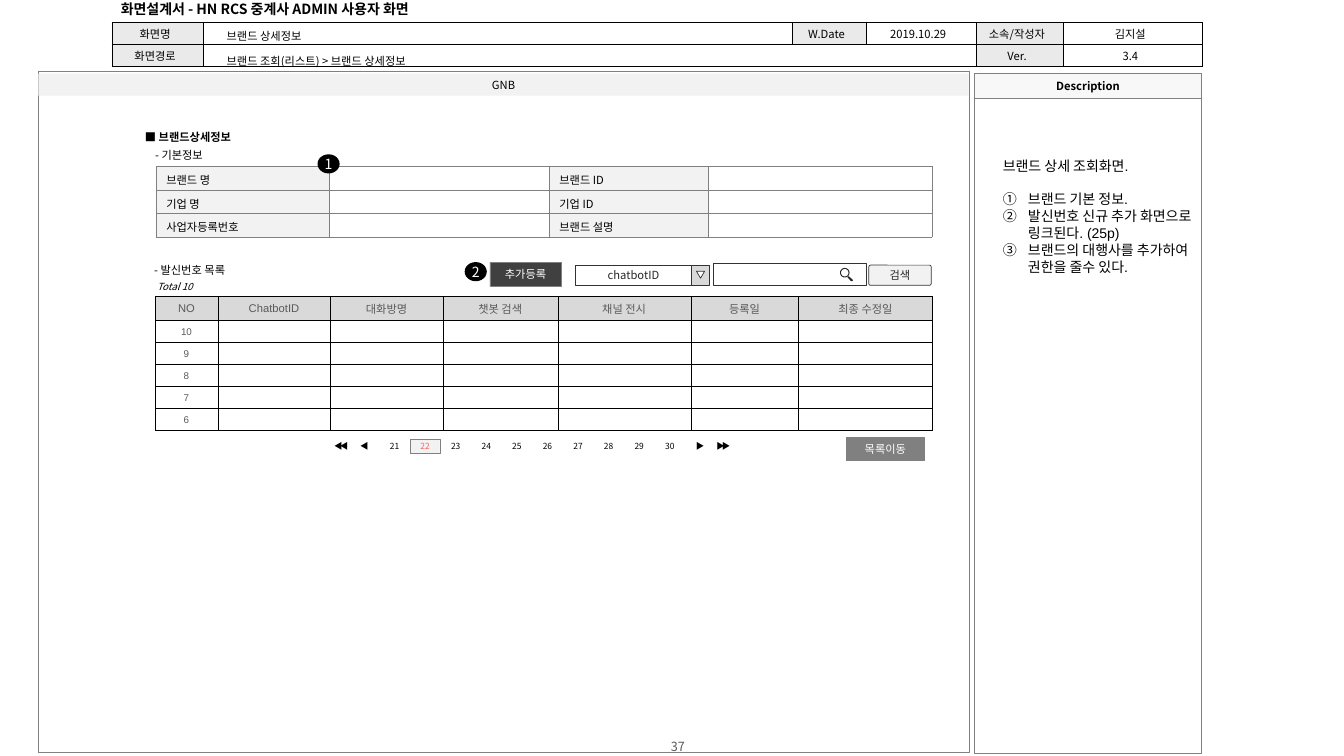
"""Build the brand detail page of an admin screen specification."""
import math

from lxml import etree
from pptx import Presentation
from pptx.dml.color import RGBColor
from pptx.enum.shapes import MSO_SHAPE
from pptx.enum.text import MSO_ANCHOR, PP_ALIGN
from pptx.oxml.ns import qn
from pptx.util import Pt

RECT, ROUNDED = MSO_SHAPE.RECTANGLE, MSO_SHAPE.ROUNDED_RECTANGLE
OVAL, TRIANGLE = MSO_SHAPE.OVAL, MSO_SHAPE.ISOSCELES_TRIANGLE
LEFT, CENTER = PP_ALIGN.LEFT, PP_ALIGN.CENTER
TOP, MIDDLE = MSO_ANCHOR.TOP, MSO_ANCHOR.MIDDLE
SANS, ARIAL = "Noto Sans CJK KR", "Arial"
COLORS = {
    "black": "000000", "white": "FFFFFF", "gray": "808080", "text": "595959",
    "ink": "262626", "edge": "333333", "dark": "404040", "label": "EAEAEA",
    "pale": "F2F2F2", "bar": "F8F8F8", "head": "D9D9D9", "current": "FF6060",
}


def write(para, text, size, color="black", font=SANS, align=LEFT, bold=False):
    """Add one styled run to a paragraph."""
    para.alignment = align
    span = para.add_run()
    span.text = text
    span.font.size = Pt(size)
    span.font.name = font
    span.font.bold = bold
    span.font.color.rgb = RGBColor.from_string(COLORS[color])
    etree.SubElement(span.font._element, qn("a:ea"), typeface=SANS)
    return span


def block(kind, place, fill=None, line=None, weight=0.25, text="", size=8, color="black", bold=False):
    """Draw a preset shape with optional centred text."""
    shape = page.shapes.add_shape(kind, *[Pt(v) for v in place])
    shape.shadow.inherit = False
    if fill:
        shape.fill.solid()
        shape.fill.fore_color.rgb = RGBColor.from_string(COLORS[fill])
    else:
        shape.fill.background()
    if line:
        shape.line.color.rgb = RGBColor.from_string(COLORS[line])
        shape.line.width = Pt(weight)
    else:
        shape.line.fill.background()
    if text:
        frame = shape.text_frame
        frame.margin_left = frame.margin_right = frame.margin_top = frame.margin_bottom = 0
        frame.vertical_anchor = MIDDLE
        frame.word_wrap = False
        span = write(frame.paragraphs[0], text, size, color, align=CENTER, bold=bold)
        if len(text) == 2 and text[0] in "◀▶":
            span.font._element.set("spc", "-190")
    return shape


deck = Presentation()
deck.slide_width, deck.slide_height = Pt(960), Pt(540)
page = deck.slides.add_slide(deck.slide_layouts[6])

block(RECT, (372.2, 528.5, 224, 9.4), text="37", size=9, color="text")
block(RECT, (27.4, 51.1, 664.6, 486), line="gray")
block(RECT, (696.2, 69.1, 162, 468.7), line="gray")
block(RECT, (696.2, 52.6, 162, 17.3), "bar", "gray", text="Description", bold=True)
block(RECT, (27.4, 52.6, 664.6, 15.8), "pale", text="GNB")

tables = [
    {"at": (79.9, 15.8), "widths": (65.5, 420.5, 52.6, 78.5, 62.6, 99.4), "heights": [15.8] * 2,
     "border": "black", "shade": "label", "align": CENTER, "font": SANS, "color": "black",
     "margins": (2.9, 1.8, 6.5, 1.8),
     "rows": [["화면명", "", "W.Date", "2019.10.29", "소속/작성자", "김지설"],
              ["화면경로", "", "", "", "Ver.", "3.4"]]},
    {"at": (111.6, 118.8), "widths": (123.8, 157, 113.8, 159.8), "heights": [16.8] * 3,
     "border": "gray", "shade": "pale", "align": LEFT, "font": SANS, "color": "black",
     "margins": (7.2, 3.6, 7.2, 1),
     "rows": [["브랜드 명", "", "브랜드 ID", ""],
              ["기업 명", "", "기업 ID", ""],
              ["사업자등록번호", "", "브랜드 설명", ""]]},
    {"at": (110.9, 211.7), "widths": (44.6, 80.6, 80.2, 82.1, 95, 77, 95.8),
     "heights": [17.1] + [15.7] * 5,
     "border": "black", "shade": "head", "align": CENTER, "font": ARIAL, "color": "text",
     "margins": (7.2, 2.5, 7.2, 1.5),
     "rows": [["NO", "ChatbotID", "대화방명", "챗봇 검색", "채널 전시", "등록일", "최종 수정일"]]
     + [[str(number)] + [""] * 6 for number in range(10, 5, -1)]},
]
for spot in tables:
    rows, widths, heights = spot["rows"], spot["widths"], spot["heights"]
    is_list = spot["font"] == ARIAL
    grid = page.shapes.add_table(len(rows), len(widths), *[Pt(v) for v in spot["at"]],
                                 Pt(sum(widths)), Pt(sum(heights))).table
    grid.first_row = grid.horz_banding = False
    for column, width in zip(grid.columns, widths):
        column.width = Pt(width)
    for r, row in enumerate(rows):
        grid.rows[r].height = Pt(heights[r])
        for c, text in enumerate(row):
            cell = grid.cell(r, c)
            cell.margin_left, cell.margin_top, cell.margin_right, cell.margin_bottom = [
                Pt(v) for v in spot["margins"]]
            cell.vertical_anchor = MIDDLE
            shaded = r == 0 if is_list else c % 2 == 0
            cell.fill.solid()
            cell.fill.fore_color.rgb = RGBColor.from_string(COLORS[spot["shade"] if shaded else "white"])
            para = cell.text_frame.paragraphs[0]
            size = 7 if is_list and r else 8
            if text:
                write(para, text, size, spot["color"], spot["font"], spot["align"])
            else:
                etree.SubElement(para._p, qn("a:endParaRPr"), sz="700")
            for index, side in enumerate("LRTB"):
                edge = etree.Element(qn("a:ln" + side), w="3175")
                fill = etree.SubElement(edge, qn("a:solidFill"))
                etree.SubElement(fill, qn("a:srgbClr"), val=COLORS[spot["border"]])
                cell._tc.tcPr.insert(index, edge)
    if spot is tables[0]:
        grid.cell(1, 1).merge(grid.cell(1, 3))

captions = [
    ((79.2, -2.9, 250, 18.7), "화면설계서 - HN RCS 중계사 ADMIN 사용자 화면", 10, True),
    ((96.5, 89.3, 93.6, 17.3), "■ 브랜드상세정보", 8, True),
    ((103.7, 102.2, 102.2, 17.3), "- 기본정보", 8, False),
    ((154.8, 17.3, 226, 17.3), "브랜드 상세정보", 8, False),
    ((154.8, 35.3, 226, 17.3), "브랜드 조회(리스트) > 브랜드 상세정보", 8, False),
    ((103, 184.3, 102.2, 17.3), "- 발신번호 목록", 8, False),
    ((105.1, 196.6, 102.2, 15.8), "Total 10", 7, False),
]
for place, text, size, bold in captions:
    box = page.shapes.add_textbox(*[Pt(v) for v in place])
    box.text_frame.word_wrap = True
    box.text_frame.vertical_anchor = MIDDLE if size == 10 else TOP
    span = write(box.text_frame.paragraphs[0], text, size, bold=bold)
    span.font.italic = size == 7

for index, number in enumerate(range(21, 31)):
    current = number == 22
    block(RECT, (271.4 + 21.84 * index, 313.9, 20.9, 10.1), "pale" if current else "white",
          "gray" if current else None, text=str(number), size=6, color="current" if current else "black")
for left, arrow in ((233.3, "◀◀"), (249.8, "◀"), (489.6, "▶"), (506.2, "▶▶")):
    block(RECT, (left, 313.9, 20.9, 10.1), text=arrow, size=6)

block(RECT, (604.8, 312.5, 55.4, 16.6), "gray", "gray", text="목록이동", color="white")
search = block(ROUNDED, (620.6, 189.4, 44.6, 14.4), "pale", "edge", 0.5, "검색", color="ink")
search.adjustments[0] = 0.09
block(RECT, (509.8, 187.9, 108.7, 15.8), "white", "edge", 0.5)
block(RECT, (411.1, 189.4, 82.8, 14.4), "white", "edge", 0.5, "chatbotID", color="ink")
block(RECT, (493.9, 189.4, 13, 14.4), "head", "edge", 0.5)
block(TRIANGLE, (497.5, 193.7, 5.8, 5), "white", "edge", 0.5).rotation = 180
block(RECT, (349.9, 187.2, 51.1, 17.3), "dark", "gray", text="추가등록", color="white")

rings = [[(603.4 + radius * math.cos(turn * math.pi / 12), 194.8 + radius * math.sin(turn * math.pi / 12))
          for turn in range(0, 24 * way, way)] for radius, way in ((3.4, 1), (2.7, -1))]
handle = [(606.3, 197.3), (605.4, 198.1), (607.9, 200.9), (609, 200.9), (609.2, 200)]
outlines = [[(Pt(x), Pt(y)) for x, y in outline] for outline in rings + [handle]]
builder = page.shapes.build_freeform(*outlines[0][0])
builder.add_line_segments(outlines[0][1:])
for outline in outlines[1:]:
    builder.move_to(*outline[0])
    builder.add_line_segments(outline[1:])
magnifier = builder.convert_to_shape()
magnifier.shadow.inherit = False
magnifier.fill.solid()
magnifier.fill.fore_color.rgb = RGBColor.from_string(COLORS["ink"])
magnifier.line.fill.background()

box = page.shapes.add_textbox(Pt(709.2), Pt(108.7), Pt(174.2), Pt(104.4))
frame = box.text_frame
frame.word_wrap = True
write(frame.paragraphs[0], "브랜드 상세 조회화면.", 10, font=ARIAL)
notes = ["브랜드 기본 정보.", "발신번호 신규 추가 화면으로 링크된다. (25p)", "브랜드의 대행사를 추가하여 권한을 줄수 있다."]
for index, note in enumerate(notes):
    para = frame.add_paragraph()
    if index == 0:
        para.space_before = Pt(12)
    props = para._p.get_or_add_pPr()
    props.set("marL", "228600")
    props.set("indent", "-228600")
    etree.SubElement(props, qn("a:buFont"), typeface=ARIAL)
    etree.SubElement(props, qn("a:buAutoNum"), type="circleNumDbPlain")
    write(para, note, 10, font=ARIAL)

for left, top, number in ((331.9, 187.2, "2"), (226.8, 110.2, "1")):
    block(OVAL, (left, top, 15.8, 13.7), "black", text=number, size=10, color="white")

deck.save("out.pptx")
